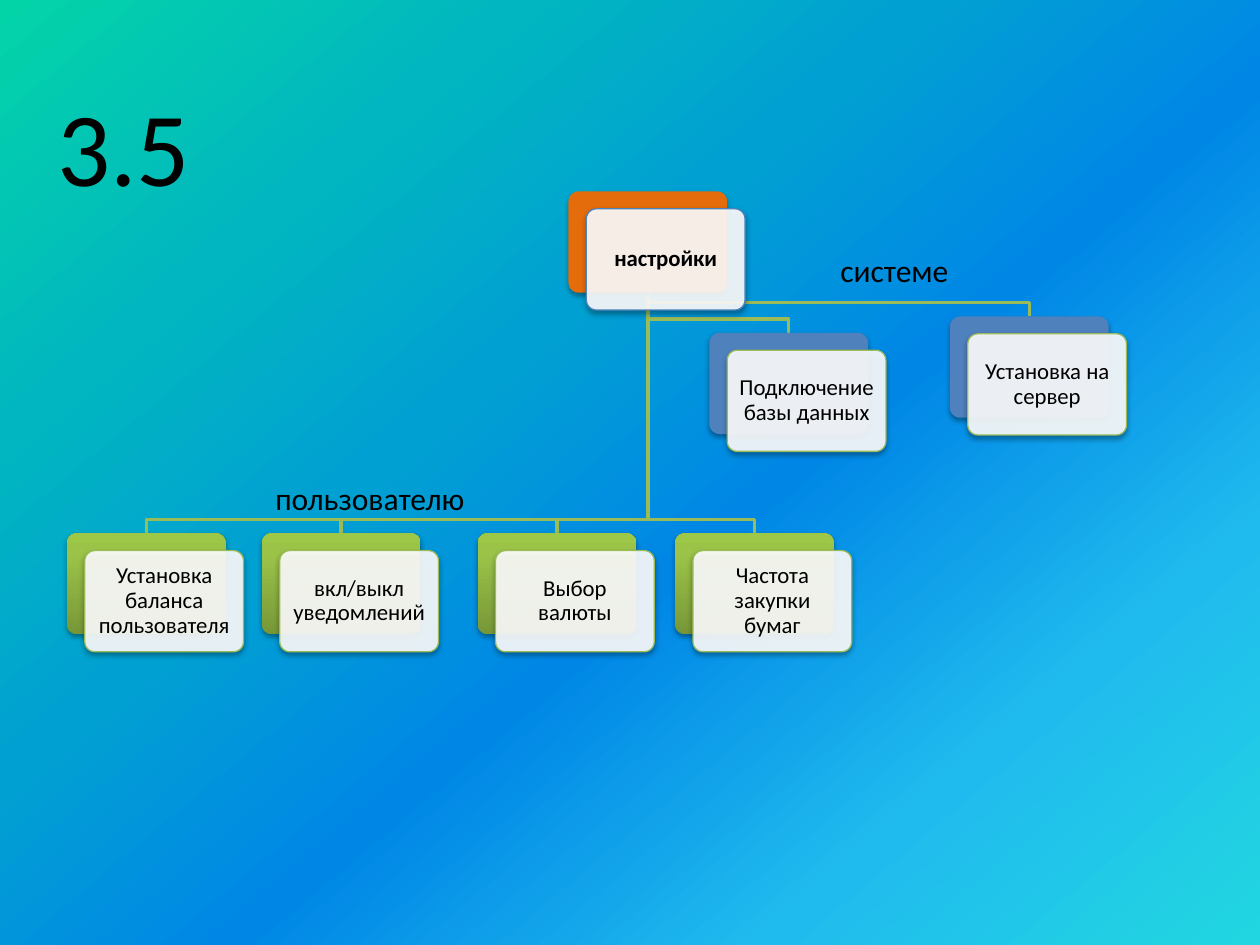
from dataclasses import dataclass
from typing import Optional

from lxml import etree
from pptx import Presentation
from pptx.dml.color import RGBColor
from pptx.enum.shapes import MSO_SHAPE
from pptx.enum.text import MSO_ANCHOR, MSO_AUTO_SIZE, PP_ALIGN
from pptx.oxml.ns import qn
from pptx.util import Cm, Pt

ROUNDED = MSO_SHAPE.ROUNDED_RECTANGLE
TOP, MIDDLE = MSO_ANCHOR.TOP, MSO_ANCHOR.MIDDLE
LEFT, CENTER = PP_ALIGN.LEFT, PP_ALIGN.CENTER
FIT_SHAPE = MSO_AUTO_SIZE.SHAPE_TO_FIT_TEXT

FONT = "Calibri"
BLACK = RGBColor(0x00, 0x00, 0x00)
WHITE = RGBColor(0xFF, 0xFF, 0xFF)
ORANGE = RGBColor(0xE4, 0x6C, 0x0A)
BLUE = RGBColor(0x4F, 0x81, 0xBD)
OLIVE = RGBColor(0x9B, 0xBB, 0x59)

# Gradient stops: position in percent, colour
SKY_STOPS = [
    (0, RGBColor(0x03, 0xD4, 0xA8)), (22, RGBColor(0x01, 0xB6, 0xC0)),
    (39, RGBColor(0x01, 0xA0, 0xD2)), (57, RGBColor(0x00, 0x87, 0xE6)),
    (79, RGBColor(0x20, 0xBB, 0xEE)), (100, RGBColor(0x21, 0xD6, 0xE0)),
]
GREEN_STOPS = [
    (0, RGBColor(0x77, 0x97, 0x37)), (80, RGBColor(0x9B, 0xC3, 0x48)),
    (100, RGBColor(0x9D, 0xC7, 0x46)),
]

# Lengths in centimetres
NODE_W, NODE_H = 3.2, 2.04
CARD_DX, CARD_DY = 0.36, 0.35
BEND_GAP = 0.28
USER_ROW_TOP = 10.75


@dataclass
class Node:
    text: str
    left: float
    top: float
    back: Optional[RGBColor] = None  # None means the green gradient
    border: RGBColor = OLIVE
    bold: bool = False

    @property
    def middle(self) -> float:
        return self.left + NODE_W / 2


@dataclass
class Label:
    text: str
    left: float
    top: float
    width: float
    height: float = 1.02


SETTINGS = Node("настройки", 11.46, 3.86, ORANGE, BLUE, True)
USER_NODES = [
    Node(text, left, USER_ROW_TOP)
    for text, left in [
        ("Установка баланса пользователя", 1.35),
        ("вкл/выкл уведомлений", 5.28),
        ("Выбор валюты", 9.63),
        ("Частота закупки бумаг", 13.61),
    ]
]
SYSTEM_NODES = [
    Node("Подключение базы данных", 14.3, 6.71, BLUE),
    Node("Установка на сервер", 19.15, 6.38, BLUE),
]
LABELS = [
    Label("системе", 16.69, 4.94, 4.6),
    Label("пользователю", 5.3, 9.53, 6.8),
]


def apply(target, values: dict) -> None:
    for name, value in values.items():
        setattr(target, name, value)


def set_gradient(fill, root, stops: list, angle: int) -> None:
    """Fill with the stops, running clockwise at the angle in degrees."""
    fill.gradient()
    fill.gradient_angle = (360 - angle) % 360
    stop_list = root.find(".//" + qn("a:gsLst"))
    for old_stop in list(stop_list):
        stop_list.remove(old_stop)
    for position, color in stops:
        stop = etree.SubElement(stop_list, qn("a:gs"), pos=str(position * 1000))
        etree.SubElement(stop, qn("a:srgbClr"), val=str(color))


def add_shadow(shape) -> None:
    shape.shadow.inherit = False
    effects = shape._element.spPr.find(qn("a:effectLst"))
    outer = etree.SubElement(
        effects, qn("a:outerShdw"), blurRad=str(Pt(3.1)), dist=str(Pt(1.8)),
        dir="5400000", rotWithShape="0")
    color = etree.SubElement(outer, qn("a:srgbClr"), val=str(BLACK))
    etree.SubElement(color, qn("a:alpha"), val="35000")


def write_text(shape, text: str, size: int, frame_format: dict,
               paragraph_format: dict, bold: bool = False) -> None:
    frame = shape.text_frame
    apply(frame, frame_format)
    paragraph = frame.paragraphs[0]
    apply(paragraph, paragraph_format)
    run = paragraph.add_run()
    run.text = text
    apply(run.font, {"name": FONT, "size": Pt(size), "bold": bold})
    run.font.color.rgb = BLACK


def add_box(shapes, left: float, top: float):
    box = shapes.add_shape(ROUNDED, Cm(left), Cm(top), Cm(NODE_W), Cm(NODE_H))
    box.adjustments[0] = 0.1
    add_shadow(box)
    return box


def add_node(shapes, node: Node) -> None:
    # Coloured plate behind
    plate = add_box(shapes, node.left, node.top)
    plate.line.fill.background()
    if node.back is None:
        set_gradient(plate.fill, plate._element.spPr, GREEN_STOPS, 270)
    else:
        plate.fill.solid()
        plate.fill.fore_color.rgb = node.back

    # Translucent card with the text
    card = add_box(shapes, node.left + CARD_DX, node.top + CARD_DY)
    card.fill.solid()
    card.fill.fore_color.rgb = WHITE
    color = card._element.spPr.find(qn("a:solidFill")).find(qn("a:srgbClr"))
    etree.SubElement(color, qn("a:alpha"), val="90000")
    card.line.color.rgb = node.border
    card.line.width = Pt(0.75)
    margins = {f"margin_{side}": Cm(0.18)
               for side in ("left", "right", "top", "bottom")}
    write_text(card, node.text, 13,
               {"word_wrap": True, "vertical_anchor": MIDDLE, **margins},
               {"alignment": CENTER, "line_spacing": 0.9}, node.bold)


def add_branch(shapes, parent: Node, child: Node) -> None:
    start_y = parent.top + NODE_H
    bend_y = child.top - BEND_GAP
    builder = shapes.build_freeform(Cm(parent.middle), Cm(start_y))
    corners = [(parent.middle, bend_y), (child.middle, bend_y),
               (child.middle, child.top)]
    builder.add_line_segments([(Cm(x), Cm(y)) for x, y in corners], close=False)
    branch = builder.convert_to_shape()
    branch.shadow.inherit = False
    branch.fill.background()
    branch.line.color.rgb = OLIVE
    branch.line.width = Pt(2)


def add_label(shapes, label: Label) -> None:
    box = shapes.add_textbox(Cm(label.left), Cm(label.top),
                             Cm(label.width), Cm(label.height))
    write_text(box, label.text, 18,
               {"word_wrap": True, "auto_size": FIT_SHAPE}, {"alignment": LEFT})


def main() -> None:
    prs = Presentation()
    apply(prs, {"slide_width": Cm(25.4), "slide_height": Cm(19.05)})
    slide = prs.slides.add_slide(prs.slide_layouts[5])
    shapes = slide.shapes
    set_gradient(slide.background.fill, slide._element, SKY_STOPS, 50)

    # Section number
    title = shapes.title
    apply(title, {"left": Cm(0.9), "top": Cm(1.52),
                  "width": Cm(3.23), "height": Cm(2.82)})
    write_text(title, "3.5", 60,
               {"word_wrap": False, "auto_size": FIT_SHAPE,
                "vertical_anchor": TOP}, {"alignment": LEFT})

    # Settings tree: branches lie behind the nodes
    children = USER_NODES + SYSTEM_NODES
    for child in children:
        add_branch(shapes, SETTINGS, child)
    for node in [SETTINGS, *children]:
        add_node(shapes, node)

    # Branch labels
    for label in LABELS:
        add_label(shapes, label)

    prs.save("out.pptx")


if __name__ == "__main__":
    main()
